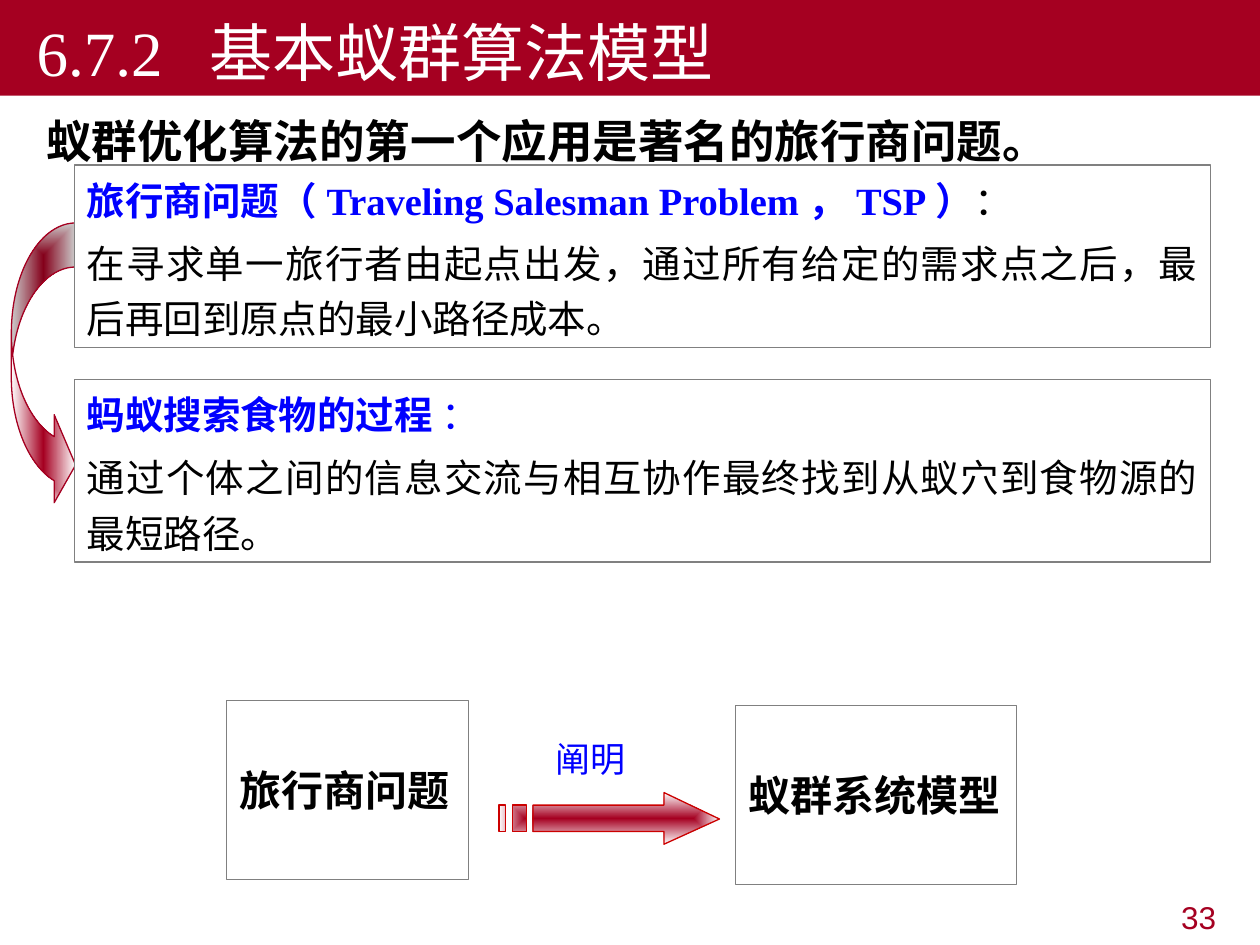
"""Build the slide on the basic ant colony algorithm model."""
from lxml import etree
from pptx import Presentation
from pptx.dml.color import RGBColor
from pptx.enum.shapes import MSO_SHAPE
from pptx.enum.text import MSO_ANCHOR, PP_ALIGN
from pptx.oxml import parse_xml
from pptx.oxml.ns import qn
from pptx.util import Inches, Pt

RECTANGLE, CURVED_ARROW = MSO_SHAPE.RECTANGLE, MSO_SHAPE.CURVED_RIGHT_ARROW
TOP, MIDDLE, BOTTOM = MSO_ANCHOR.TOP, MSO_ANCHOR.MIDDLE, MSO_ANCHOR.BOTTOM
LEFT, RIGHT, JUSTIFY = PP_ALIGN.LEFT, PP_ALIGN.RIGHT, PP_ALIGN.JUSTIFY
CRIMSON = RGBColor(0xA5, 0x00, 0x21)
RED = RGBColor(0xCC, 0x00, 0x00)
BLUE = RGBColor(0x00, 0x00, 0xFF)
GRAY = RGBColor(0x80, 0x80, 0x80)
BLACK = RGBColor(0x00, 0x00, 0x00)
WHITE = RGBColor(0xFF, 0xFF, 0xFF)
SERIF, SANS, CJK = "Times New Roman", "Arial", "Noto Sans CJK SC"
DRAWING_NS = "http://schemas.openxmlformats.org/drawingml/2006/main"

TITLE = "6.7.2  基本蚁群算法模型"
INTRO = "蚁群优化算法的第一个应用是著名的旅行商问题。"
DEFINITIONS = [
    (1.31, "旅行商问题（Traveling Salesman Problem，TSP）", BLACK,
     "在寻求单一旅行者由起点出发，通过所有给定的需求点之后，最后再回到原点的最小路径成本。"),
    (3.01, "蚂蚁搜索食物的过程 ", BLUE,
     "通过个体之间的信息交流与相互协作最终找到从蚁穴到食物源的最短路径。"),
]
CONCEPTS = [("旅行商问题", (1.8, 5.56, 1.92, 1.42)),
            ("蚁群系统模型", (5.84, 5.6, 2.23, 1.42))]
ARROW_LABEL = "阐明"
PAGE_NUMBER = "33"
ARROW_UNIT = Inches(0.01)
SHAFT_TOP, SHAFT_BOTTOM = 639, 660
ARROW_HEAD = [(527, 629), (527, SHAFT_TOP), (423, SHAFT_TOP), (423, SHAFT_BOTTOM),
              (527, SHAFT_BOTTOM), (527, 670), (571, 650)]
STRIPES = [(407, 418), (396, 401)]


def write(shape, paragraphs, align=LEFT, anchor=TOP, wrap=True, spacing=None, before=0):
    """Fill a shape with paragraphs of (text, size, font, colour, bold) runs."""
    frame = shape.text_frame
    frame.word_wrap = wrap
    frame.vertical_anchor = anchor
    frame.text = "\n".join("" for _ in paragraphs)
    for paragraph, runs in zip(frame.paragraphs, paragraphs):
        paragraph.alignment = align
        paragraph.space_before = Pt(before)
        if spacing:
            paragraph.line_spacing = spacing
        for text, size, font, color, bold in runs:
            run = paragraph.add_run()
            run.text = text
            run.font.size, run.font.name, run.font.bold = Pt(size), font, bold
            run.font.color.rgb = color
            east_asian = etree.SubElement(run.font._element, qn("a:ea"))
            east_asian.set("typeface", CJK)
    return frame


def box(slide, place, fill, line=None):
    shape = slide.shapes.add_shape(RECTANGLE, *map(Inches, place))
    shape.shadow.inherit = False
    shape.fill.solid()
    shape.fill.fore_color.rgb = fill
    if line is None:
        shape.line.fill.background()
    else:
        shape.line.color.rgb, shape.line.width = line, Pt(0.75)
    return shape


def text_box(slide, place):
    return slide.shapes.add_textbox(*map(Inches, place))


def glow(shape, line):
    """Shade a shape from a crimson centre to white edges."""
    shape.shadow.inherit = False
    shape.fill.gradient()
    for stop, color, position in zip(shape.fill.gradient_stops, (CRIMSON, WHITE), (0, 1)):
        stop.color.rgb, stop.position = color, position
    linear = shape._element.spPr.find(".//" + qn("a:lin"))
    linear.getparent().replace(linear, parse_xml(
        f'<a:path xmlns:a="{DRAWING_NS}" path="rect">'
        '<a:fillToRect l="50000" t="50000" r="50000" b="50000"/></a:path>'))
    shape.line.color.rgb, shape.line.width = line, Pt(0.75)


def split_contours(shape):
    """Give each contour an outline of its own, so each is shaded by itself."""
    outlines = shape._element.spPr.find(".//" + qn("a:pathLst"))
    joined = outlines[0]
    size = dict(joined.attrib)
    for step in list(joined):
        if step.tag == qn("a:moveTo"):
            contour = etree.SubElement(outlines, qn("a:path"), size)
        contour.append(step)
    outlines.remove(joined)


def add_striped_arrow(slide):
    stripes = [[(left, SHAFT_TOP), (left, SHAFT_BOTTOM), (right, SHAFT_BOTTOM),
                (right, SHAFT_TOP)] for left, right in STRIPES]
    builder = slide.shapes.build_freeform(*ARROW_HEAD[0], scale=ARROW_UNIT)
    builder.add_line_segments(ARROW_HEAD[1:])
    for stripe in stripes:
        builder.move_to(*stripe[0])
        builder.add_line_segments(stripe[1:])
    arrow = builder.convert_to_shape()
    split_contours(arrow)
    glow(arrow, RED)


def main():
    presentation = Presentation()
    presentation.slide_width, presentation.slide_height = Inches(10), Inches(7.5)
    slide = presentation.slides.add_slide(presentation.slide_layouts[6])

    write(text_box(slide, (7.58, 7.08, 2.17, 0.39)),
          [[(PAGE_NUMBER, 18, SANS, CRIMSON, False)]], RIGHT)
    banner = write(box(slide, (0, 0, 10, 0.76), CRIMSON),
                   [[(TITLE, 36, SERIF, WHITE, False)]], anchor=BOTTOM)
    banner.margin_left, banner.margin_bottom = Inches(0.29), Inches(0.05)
    write(text_box(slide, (0.27, 0.76, 9.67, 0.71)),
          [[(INTRO, 26, SERIF, BLACK, True)]], JUSTIFY, spacing=1.2, before=5.2)

    curved_arrow = slide.shapes.add_shape(
        CURVED_ARROW, *map(Inches, (0.09, 1.77, 0.51, 2.27)))
    for index, value in enumerate((0.685, 1.37, 0.333)):
        curved_arrow.adjustments[index] = value
    glow(curved_arrow, CRIMSON)

    for concept, place in CONCEPTS:
        write(box(slide, place, WHITE, GRAY),
              [[(concept, 24, CJK, BLACK, True)]], anchor=MIDDLE, wrap=False)
    add_striped_arrow(slide)
    write(text_box(slide, (4.31, 5.81, 0.99, 0.43)),
          [[(ARROW_LABEL, 20, CJK, BLUE, False)]], anchor=BOTTOM)

    for top, term, colon_color, meaning in DEFINITIONS:
        write(box(slide, (0.59, top, 9.02, 1.45), WHITE, GRAY),
              [[(term, 22, SERIF, BLUE, True), ("：", 22, SERIF, colon_color, False)],
               [(meaning, 22, SANS, BLACK, False)]],
              JUSTIFY, BOTTOM, spacing=1.2, before=4.4)

    presentation.save("out.pptx")


if __name__ == "__main__":
    main()
